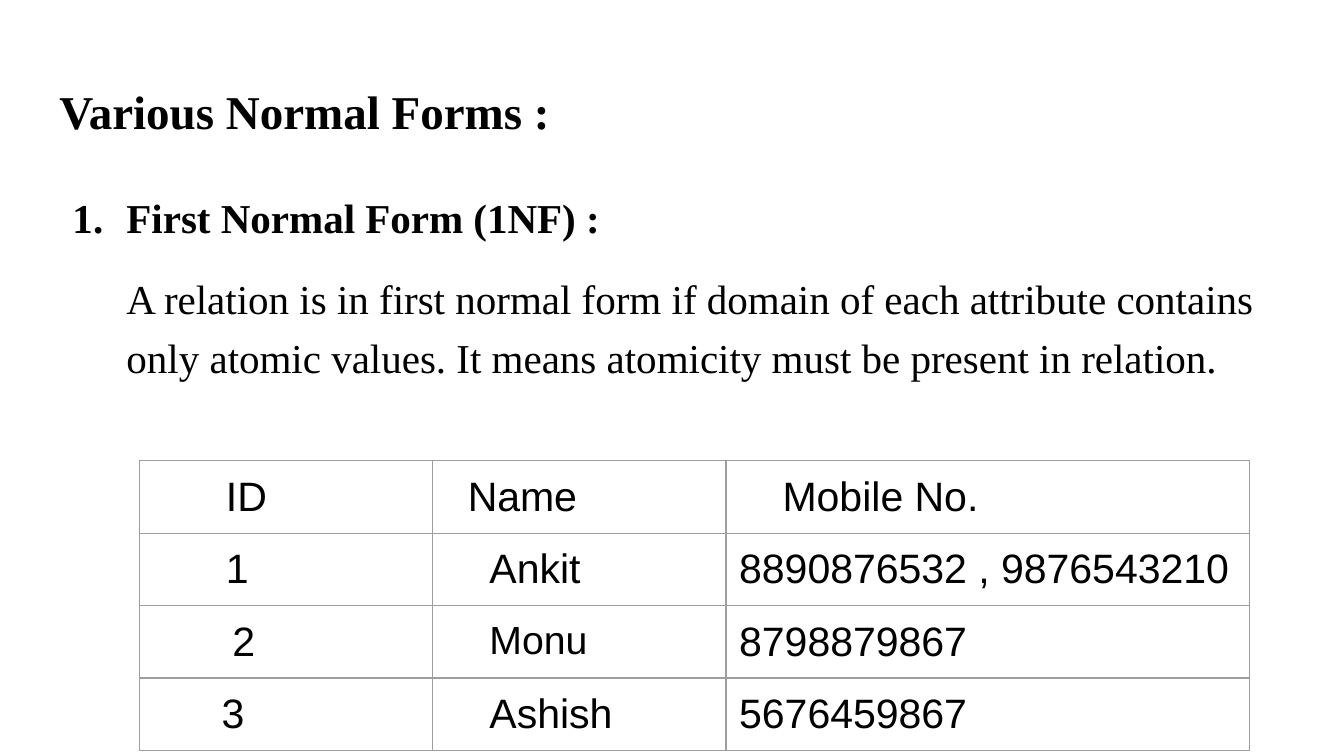
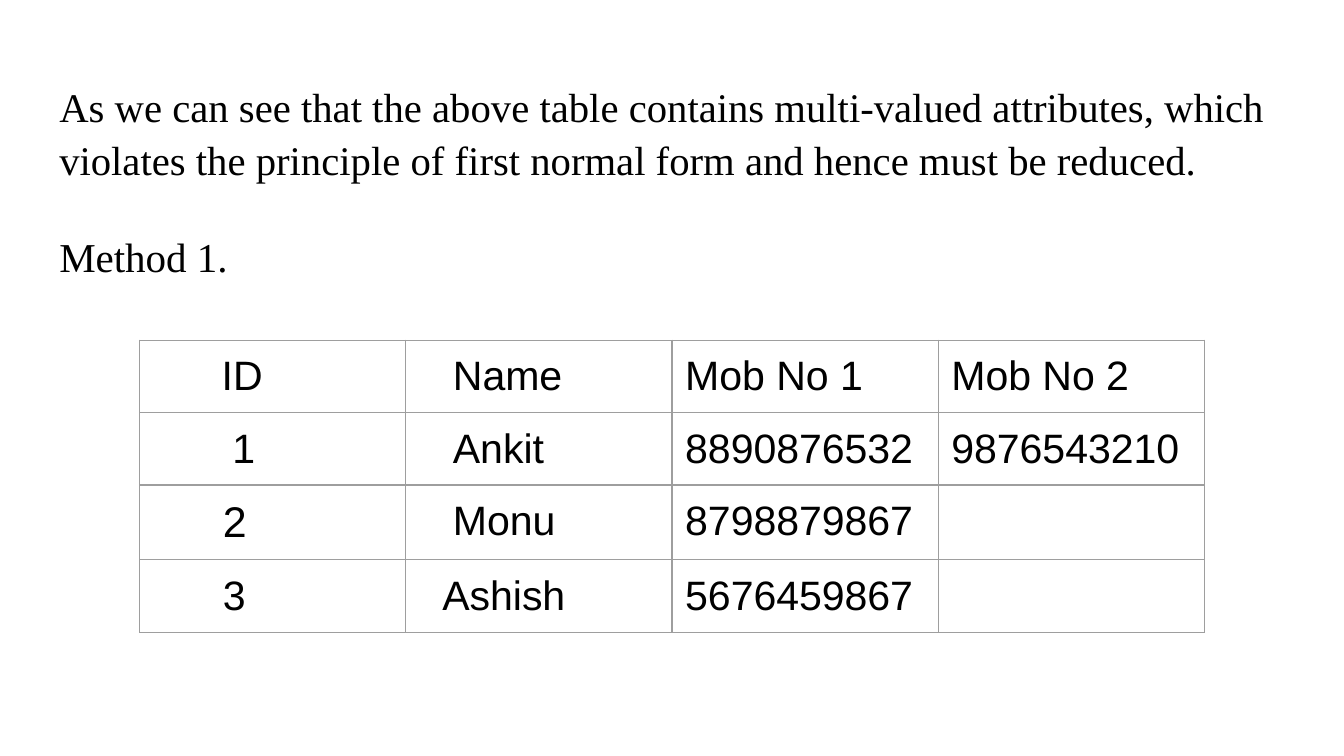
import pptx
import pptx.dml.color
import pptx.enum.text
import pptx.oxml
import pptx.oxml.ns
import pptx.util

Cm = pptx.util.Cm
Pt = pptx.util.Pt
NS = pptx.oxml.ns.nsdecls("a")


class Deck:
    hues = {"ink": "000000", "paper": "FFFFFF", "rule": "9E9E9E"}
    serif = "Times New Roman"
    sans = "Arial"
    left = 0.87
    width = 23.67
    inset = 0.25

    def __init__(self):
        self.file = pptx.Presentation()
        self.file.slide_width = Cm(25.4)
        self.file.slide_height = Cm(14.29)
        self.slide = None

    def hue(self, name):
        return pptx.dml.color.RGBColor.from_string(self.hues[name])

    def start(self):
        self.slide = self.file.slides.add_slide(self.file.slide_layouts[1])
        fill = self.slide.background.fill
        fill.solid()
        fill.fore_color.rgb = self.hue("paper")

    def run(self, para, text, face, size, bold=False):
        run = para.add_run()
        run.text = text
        font = run.font
        font.name, font.size, font.bold = face, Pt(size), bold
        font.color.rgb = self.hue("ink")

    def pad(self, item, left):
        item.margin_left = Cm(left)
        item.margin_right = item.margin_top = item.margin_bottom = Cm(self.inset)

    def frame(self, shape, top, height):
        shape.left, shape.top = Cm(self.left), Cm(top)
        shape.width, shape.height = Cm(self.width), Cm(height)
        frame = shape.text_frame
        frame.word_wrap = True
        frame.auto_size = pptx.enum.text.MSO_AUTO_SIZE.NONE
        frame.vertical_anchor = pptx.enum.text.MSO_ANCHOR.TOP
        self.pad(frame, self.inset)
        return frame

    def title(self, text, height, size, bold=False):
        para = self.frame(self.slide.shapes.title, 1.24, height).paragraphs[0]
        para.alignment = pptx.enum.text.PP_ALIGN.LEFT
        para.line_spacing = 1.07
        self.run(para, text, self.serif, size, bold)

    def body(self, items, top, height, inner=0):
        frame = self.frame(self.slide.placeholders[1], top, height)
        for at, (text, head) in enumerate(items):
            para = frame.add_paragraph() if at else frame.paragraphs[0]
            para.line_spacing = 1.2
            para.space_before = Pt(12 if at else 0)
            prop = para._p.get_or_add_pPr()
            prop.set("marL", str(Cm(inner)))
            prop.set("indent", str(Cm(-1.02) if head else 0))
            mark = 'buAutoNum type="arabicPeriod"' if head else "buNone"
            prop.append(pptx.oxml.parse_xml(f"<a:{mark} {NS}/>"))
            self.run(para, text, self.serif, 22, head)

    def border(self, cell):
        prop = cell._tc.get_or_add_tcPr()
        for at, side in enumerate("LRTB"):
            prop.insert(at, pptx.oxml.parse_xml(
                f'<a:ln{side} {NS} w="{Pt(0.75)}"><a:solidFill>'
                f'<a:srgbClr val="{self.hues["rule"]}"/></a:solidFill></a:ln{side}>'))

    def table(self, rows, top, widths):
        tall = 1.07
        grid = self.slide.shapes.add_table(
            len(rows), len(widths), Cm(2.64), Cm(top),
            Cm(sum(widths)), Cm(tall * len(rows))).table
        grid.first_row = grid.horz_banding = False
        for col, width in zip(grid.columns, widths):
            col.width = Cm(width)
        for line, row in zip(grid.rows, rows):
            line.height = Cm(tall)
            for cell, (text, left, size) in zip(line.cells, row):
                self.pad(cell, left)
                cell.fill.background()
                self.border(cell)
                if text:
                    self.run(cell.text_frame.paragraphs[0], text, self.sans, size)


def cell(text, left=Deck.inset, size=22):
    return text, left, size


def main():
    deck = Deck()

    deck.start()
    deck.title("Various Normal Forms :", 1.6, 25.2, True)
    deck.body([
        ("First Normal Form (1NF) :", True),
        ("A relation is in first normal form if domain of each attribute contains "
         "only atomic values. It means atomicity must be present in relation.", False),
    ], 3.2, 13.26, 1.27)
    deck.table([
        [cell("ID", 1.63), cell("Name", 0.66), cell("Mobile No.", 1.07)],
        [cell("1", 1.63), cell("Ankit", 1.07), cell("8890876532 , 9876543210")],
        [cell("2", 1.75), cell("Monu", 1.07, 21), cell("8798879867")],
        [cell("3", 1.55), cell("Ashish", 1.07), cell("5676459867")],
    ], 8.71, [5.54, 5.54, 9.9])

    deck.start()
    deck.title("As we can see that the above table contains multi-valued attributes, "
               "which violates the principle of first normal form and hence must be "
               "reduced.", 2.39, 21.8)
    deck.body([("Method 1.", False)], 3.94, 8.76)
    deck.table([
        [cell("ID", 1.55), cell("Name", 0.89), cell("Mob No 1"), cell("Mob No 2")],
        [cell("1", 1.75), cell("Ankit", 0.89), cell("8890876532"), cell("9876543210")],
        [cell("2", 1.57, 23), cell("Monu", 0.89), cell("8798879867"), cell("")],
        [cell("3", 1.57), cell("Ashish", 0.69), cell("5676459867"), cell("")],
    ], 6.43, [5.03] * 4)

    deck.file.save("out.pptx")


if __name__ == "__main__":
    main()
